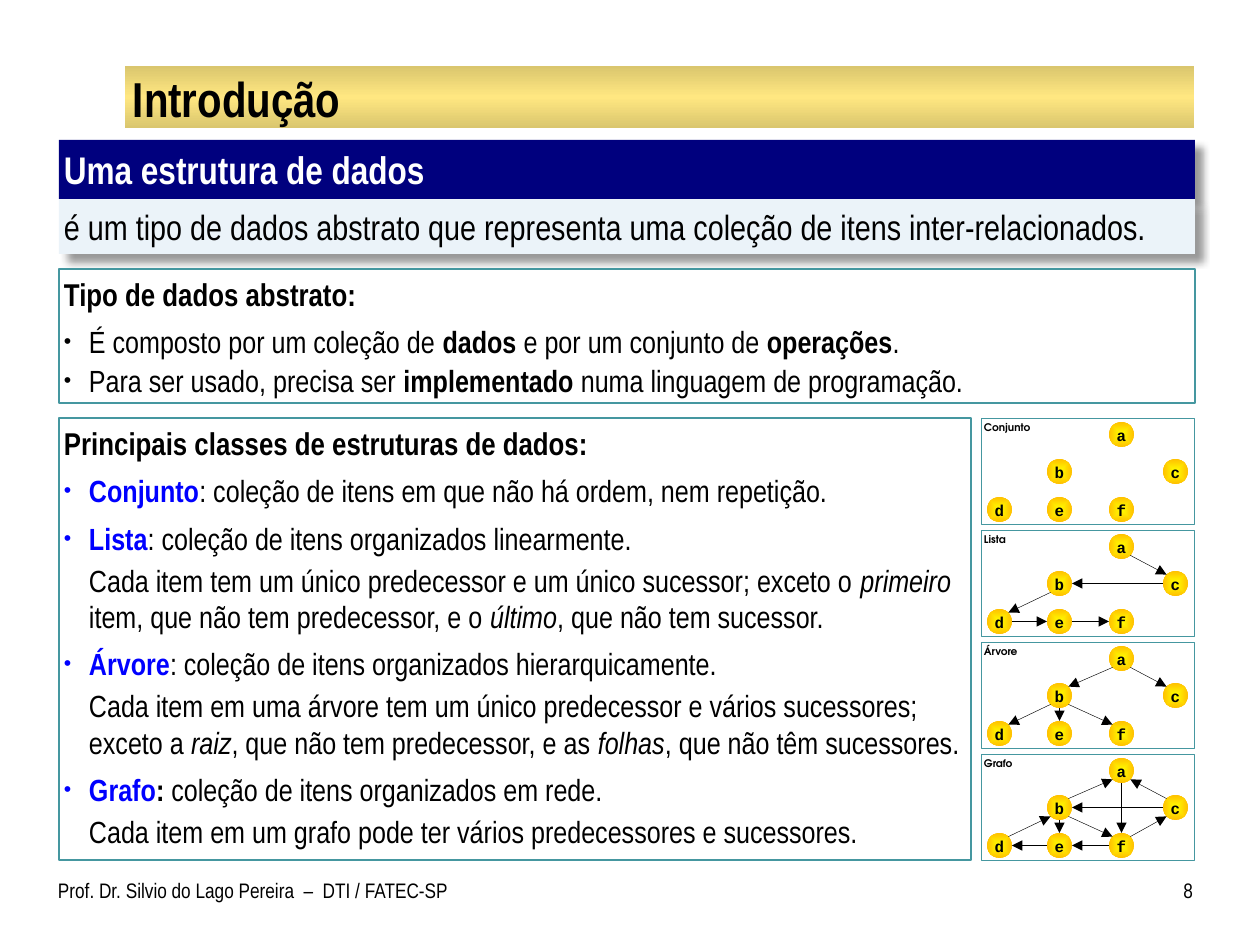
"""Build the slide that introduces data structures and their four main classes."""
import pptx
import pptx.dml.color
import pptx.enum.shapes
import pptx.enum.text
import pptx.oxml
import pptx.oxml.ns
import pptx.util

RGB = pptx.dml.color.RGBColor
BLACK, WHITE, BLUE = RGB(0, 0, 0), RGB(255, 255, 255), RGB(0, 0, 255)
NAVY, PALE, TEAL = RGB(0, 0, 0x7E), RGB(0xEB, 0xF3, 0xF9), RGB(0x45, 0x97, 0xA0)
GOLD, LIGHT_GOLD = RGB(0xDA, 0xC6, 0x6E), RGB(0xFF, 0xE7, 0x81)
YELLOW, AMBER = RGB(0xFF, 0xFF, 0), RGB(0xFF, 0xC0, 0)
NARROW, MONO, ROUND = "Arial Narrow", "Courier New", "TeX Gyre Adventor"
SHAPE = pptx.enum.shapes.MSO_SHAPE
ALIGN = pptx.enum.text.PP_ALIGN
ANCHOR = pptx.enum.text.MSO_ANCHOR
NAMESPACE = pptx.oxml.ns.nsdecls("a")

TITLE = "Introdução"
TERM = "Uma estrutura de dados"
DEFINITION = "é um tipo de dados abstrato que representa uma coleção de itens inter-relacionados."
AUTHOR = "Prof. Dr. Silvio do Lago Pereira  –  DTI / FATEC-SP"
PAGE = "8"

ABSTRACT_TYPE = [
    ("head", 0, [("Tipo de dados abstrato:", "b")]),
    ("bullet", 6, [("É composto por um coleção de ", ""), ("dados", "b"),
                   (" e por um conjunto de ", ""), ("operações", "b"), (".", "")]),
    ("bullet", 1, [("Para ser usado, precisa ser ", ""), ("implementado", "b"),
                   (" numa linguagem de programação.", "")]),
]
CLASSES = [
    ("head", 0, [("Principais classes de estruturas de dados:", "b")]),
    ("bullet", 6, [("Conjunto", "bc"),
                   (": coleção de itens em que não há ordem, nem repetição.", "")]),
    ("bullet", 6, [("Lista", "bc"), (": coleção de itens organizados linearmente.", "")]),
    ("detail", 3, [("Cada item tem um único predecessor e um único sucessor; exceto o ", ""),
                   ("primeiro ", "i"), ("item, que não tem predecessor, e o ", ""),
                   ("último", "i"), (", que não tem sucessor.", "")]),
    ("bullet", 6, [("Árvore", "bc"), (": coleção de itens organizados hierarquicamente.", "")]),
    ("detail", 3, [("Cada item em uma árvore tem um único predecessor e vários sucessores; "
                    "exceto a ", ""), ("raiz", "i"),
                   (", que não tem predecessor, e as ", ""), ("folhas", "i"),
                   (", que não têm sucessores.", "")]),
    ("bullet", 6, [("Grafo", "bc"), (":", "b"), (" coleção de itens organizados em rede.", "")]),
    ("detail", 3, [("Cada item em um grafo pode ter vários predecessores e sucessores.", "")]),
]
PANELS = [
    ("Conjunto", []),
    ("Lista", ["ac", "cb", "bd", "de", "ef"]),
    ("Árvore", ["ab", "ac", "bd", "be", "bf"]),
    ("Grafo", ["db", "be", "bf", "af", "ba", "fe", "ed", "fc", "ca", "cb"]),
]
NODES = {"a": (128, 4), "b": (66, 41), "c": (182, 41), "d": (6, 79), "e": (66, 79), "f": (128, 79)}
NODE_SIZE = 25
PANEL_LEFT, PANEL_TOP, PANEL_STEP = 981, 418, 112


def px(length):
    return round(length * 914400 / 126)


def gradient(shape, colours, direction):
    shape.fill.solid()
    solid = shape._element.spPr.find(pptx.oxml.ns.qn("a:solidFill"))
    stops = "".join(f'<a:gs pos="{100000 * index // (len(colours) - 1)}"><a:srgbClr val="{colour}"/></a:gs>'
                    for index, colour in enumerate(colours))
    solid.getparent().replace(solid, pptx.oxml.parse_xml(
        f"<a:gradFill {NAMESPACE}><a:gsLst>{stops}</a:gsLst>{direction}</a:gradFill>"))


def add_box(slide, box, kind=SHAPE.RECTANGLE, fill=None, line=None, width=0.75):
    shape = slide.shapes.add_shape(kind, *map(px, box))
    shape.shadow.inherit = False
    shape.fill.background()
    shape.line.fill.background()
    if fill is not None:
        shape.fill.solid()
        shape.fill.fore_color.rgb = fill
    if line is not None:
        shape.line.color.rgb = line
        shape.line.width = pptx.util.Pt(width)
    return shape


def add_shadow(shape):
    effects = shape._element.spPr.find(pptx.oxml.ns.qn("a:effectLst"))
    effects.append(pptx.oxml.parse_xml(
        f'<a:outerShdw {NAMESPACE} blurRad="50800" dist="76200" dir="2700000" algn="tl" rotWithShape="0">'
        '<a:srgbClr val="000000"><a:alpha val="40000"/></a:srgbClr></a:outerShdw>'))


def set_frame(shape, margins, anchor=ANCHOR.TOP):
    frame = shape.text_frame
    frame.word_wrap = True
    frame.vertical_anchor = anchor
    frame.margin_left, frame.margin_top, frame.margin_right, frame.margin_bottom = map(px, margins)
    return frame


def format_run(run, size, font=NARROW, colour=BLACK, bold=False, italic=False):
    run.font.size = pptx.util.Pt(size)
    run.font.name = font
    run.font.color.rgb = colour
    run.font.bold = bold
    run.font.italic = italic


def write(shape, text, margins, size, align=ALIGN.LEFT, anchor=ANCHOR.TOP, **style):
    frame = set_frame(shape, margins, anchor)
    frame.text = text
    frame.paragraphs[0].alignment = align
    format_run(frame.paragraphs[0].runs[0], size, **style)


def write_list(shape, items):
    frame = set_frame(shape, (5, 6, 5, 6))
    for index, (role, space, runs) in enumerate(items):
        paragraph = frame.add_paragraph() if index else frame.paragraphs[0]
        paragraph.alignment = ALIGN.LEFT
        paragraph.space_before = pptx.util.Pt(space)
        for text, style in runs:
            run = paragraph.add_run()
            run.text = text
            format_run(run, 18 if role == "head" else 17.5, colour=BLUE if "c" in style else BLACK,
                       bold="b" in style, italic="i" in style)
        properties = paragraph._p.get_or_add_pPr()
        if role != "head":
            properties.set("marL", str(px(25)))
            properties.set("indent", str(px(-25) if role == "bullet" else 0))
        if role == "bullet":
            for tag in ('buSzPct {} val="69000"', 'buFont {} typeface="Arial"', 'buChar {} char="•"'):
                properties.append(pptx.oxml.parse_xml(f"<a:{tag.format(NAMESPACE)}/>"))


def add_arrow(slide, top, start, end):
    signs = [(b > a) - (b < a) for a, b in zip(NODES[start], NODES[end])]
    reach = NODE_SIZE / 2 * (0.71 if all(signs) else 1)
    origin = (PANEL_LEFT + NODE_SIZE / 2, top + NODE_SIZE / 2)
    points = [px(origin[axis] + NODES[node][axis] + side * reach * signs[axis])
              for node, side in ((start, 1), (end, -1)) for axis in (0, 1)]
    arrow = slide.shapes.add_connector(pptx.enum.shapes.MSO_CONNECTOR.STRAIGHT, *points)
    arrow.line.color.rgb = BLACK
    arrow.line.width = pptx.util.Pt(0.25)
    arrow.line._get_or_add_ln().append(pptx.oxml.parse_xml(f'<a:tailEnd {NAMESPACE} type="triangle"/>'))
    arrow._element.spPr.append(pptx.oxml.parse_xml(f"<a:effectLst {NAMESPACE}/>"))


def add_panel(slide, top, name, edges):
    add_box(slide, (PANEL_LEFT, top, 213, 106), line=TEAL, width=0.25)
    label = slide.shapes.add_textbox(*map(px, (PANEL_LEFT + 3, top + 3, 95, 21)))
    write(label, name, (0, 0, 0, 0), 6, font=ROUND, bold=True)
    for letter, (left, offset) in NODES.items():
        node = add_box(slide, (PANEL_LEFT + left, top + offset, NODE_SIZE, NODE_SIZE), SHAPE.OVAL)
        gradient(node, (YELLOW, AMBER), '<a:path path="shape"><a:fillToRect l="50000" t="50000" '
                                        'r="50000" b="50000"/></a:path>')
        write(node, letter, (0, 0, 0, 0), 9, ALIGN.CENTER, font=MONO, bold=True)
    for start, end in edges:
        add_arrow(slide, top, start, end)


def main():
    presentation = pptx.Presentation()
    presentation.slide_width, presentation.slide_height = px(1260), px(945)
    slide = presentation.slides.add_slide(presentation.slide_layouts[5])

    bar = add_box(slide, (125, 66, 1069, 62))
    gradient(bar, (GOLD, LIGHT_GOLD, GOLD), '<a:lin ang="5400000" scaled="0"/>')
    slide.shapes._spTree.insert(2, bar._element)
    title = slide.shapes.title
    title.left, title.top, title.width, title.height = map(px, (126, 68, 1067, 59))
    write(title, TITLE, (7, 1, 7, 1), 28, anchor=ANCHOR.MIDDLE, bold=True)
    title.text_frame.auto_size = pptx.enum.text.MSO_AUTO_SIZE.NONE

    for text, top, height, fill, size, colour, bold in (
            (TERM, 140, 59, NAVY, 22, WHITE, True), (DEFINITION, 199, 55, PALE, 20, BLACK, False)):
        band = add_box(slide, (59, top, 1136, height), fill=fill)
        add_shadow(band)
        write(band, text, (5, 6, 5, 6), size, colour=colour, bold=bold)

    write_list(add_box(slide, (59, 269, 1136, 134), line=TEAL), ABSTRACT_TYPE)
    write_list(add_box(slide, (59, 418, 912, 442), line=TEAL), CLASSES)
    for index, (name, edges) in enumerate(PANELS):
        add_panel(slide, PANEL_TOP + index * PANEL_STEP, name, edges)

    for text, left, width, margins, align in ((AUTHOR, 58, 412, (0, 6, 13, 6), ALIGN.LEFT),
                                              (PAGE, 1144, 49, (13, 6, 0, 6), ALIGN.RIGHT)):
        footer = slide.shapes.add_textbox(*map(px, (left, 872, width, 53)))
        write(footer, text, margins, 12, align)
    presentation.save("out.pptx")


if __name__ == "__main__":
    main()
